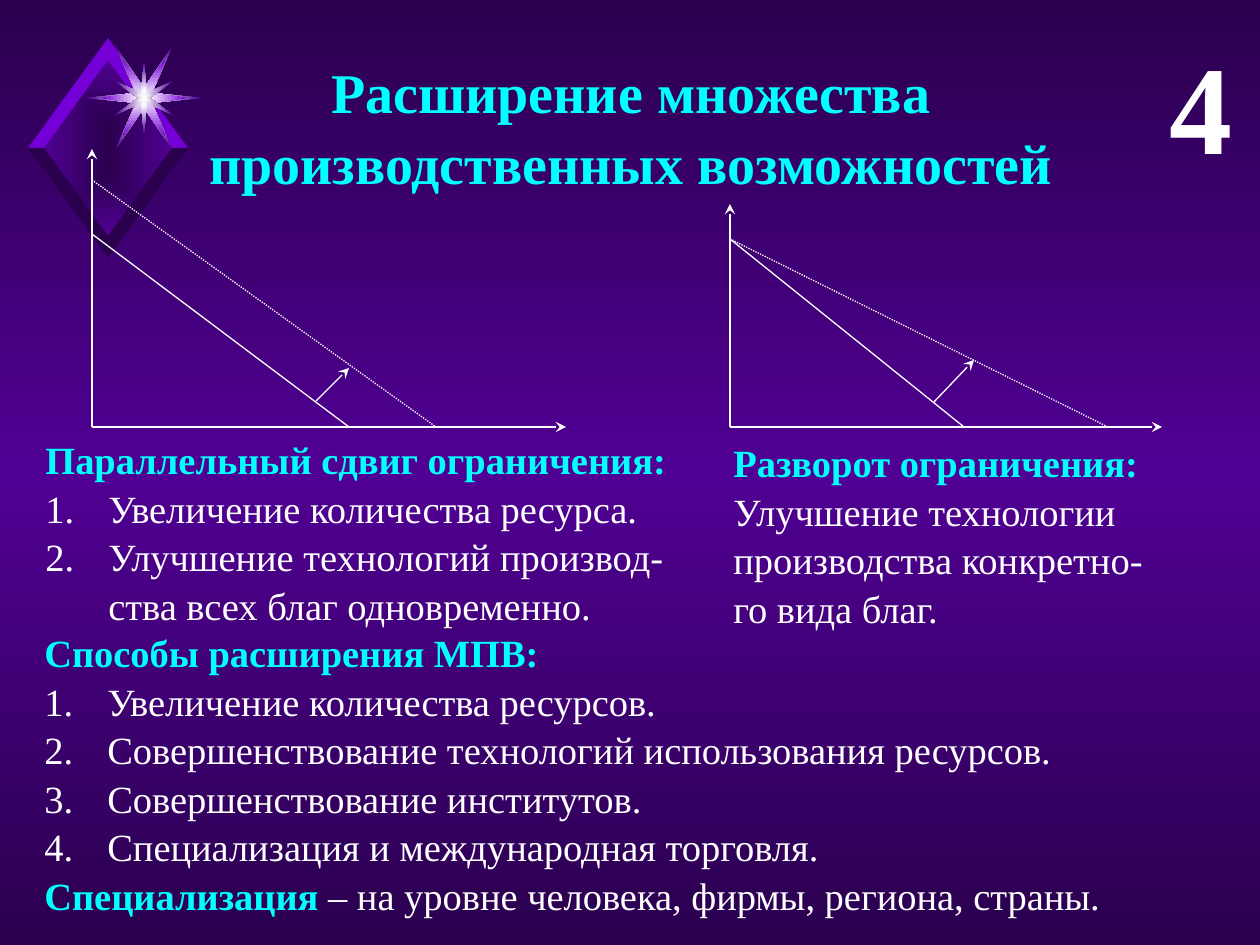
import pptx
import pptx.util
import pptx.dml.color
import pptx.enum.dml
import pptx.enum.shapes
import pptx.enum.text
import pptx.oxml.ns
from lxml import etree

RGBColor = pptx.dml.color.RGBColor
ALIGN = pptx.enum.text.PP_ALIGN
qn = pptx.oxml.ns.qn

SCALE = 914400 / 126  # EMU per px
FONT = "Times New Roman"
DARK = RGBColor(0x2A, 0x00, 0x4E)
PURPLE = RGBColor(0x50, 0x00, 0x93)
VIOLET = RGBColor(0x75, 0x00, 0xD7)
CYAN = RGBColor(0x00, 0xFF, 0xFF)
WHITE = RGBColor(0xFF, 0xFF, 0xFF)
PALE = RGBColor(0xF9, 0xF9, 0xF9)

# Content: each paragraph is a list of (words, is heading) runs
TITLE = [[("Расширение множества", True)], [("производственных возможностей", True)]]
TITLE_BOX = (25, 48, 1212, 149)
NUMBER = [[("4", False)]]
NUMBER_BOX = (1087, 15, 158, 165)
BODY = [
    {"box": (32, 621, 1200, 246), "numbered": True, "paragraphs": [
        [("Способы расширения МПВ:", True)],
        [("Увеличение количества ресурсов.", False)],
        [("Совершенствование технологий использования ресурсов.", False)],
        [("Совершенствование институтов.", False)],
        [("Специализация и международная торговля.", False)]]},
    {"box": (721, 431, 445, 246), "numbered": False, "paragraphs": [
        [("Разворот ограничения:", True)],
        [("Улучшение технологии производства конкретно-го вида благ.", False)]]},
    {"box": (33, 428, 650, 199), "numbered": True, "paragraphs": [
        [("Параллельный сдвиг ограничения:", True)],
        [("Увеличение количества ресурса.", False)],
        [("Улучшение технологий производ-ства всех благ одновременно.", False)]]},
    {"box": (32, 864, 1200, 59), "numbered": False, "paragraphs": [
        [("Специализация", True),
         (" – на уровне человека, фирмы, региона, страны.", False)]]},
]
# Frontiers are (height on the vertical axis, reach on the horizontal axis)
GRAPHS = [
    {"origin": (92, 427), "top": 149, "right": 566, "before": (234, 349),
     "after": (180, 436), "shift": ((316, 401), (349, 368))},
    {"origin": (730, 427), "top": 204, "right": 1162, "before": (239, 964),
     "after": (239, 1108), "shift": ((934, 402), (974, 360))},
]
# Half outline of each star around its centre, and centre and edge colours
STAR_CENTER = (144, 98)
STARS = [
    ([(-8, -5), (-28, -51), (0, -10), (28, -51), (8, -5), (57, 0)], WHITE, PURPLE),
    ([(-8, -5), (-21, -38), (0, -10), (21, -38), (8, -5), (42, 0)], WHITE, VIOLET),
    ([(-29, -17), (-3, -5), (0, -36), (3, -5), (29, -17), (6, 0)], WHITE, PURPLE),
    ([(-7, -4), (-1, -2), (0, -9), (1, -2), (7, -4), (2, 0)], PALE, PALE),
]
DIAMOND_CENTER = (108, 148)


def px(*lengths):
    return [pptx.util.Emu(round(length * SCALE)) for length in lengths]


def set_gradient(fill, owner, colors, from_center=False):
    fill.gradient()
    gradient = next(owner.iter(qn("a:gradFill")))
    for child in list(gradient):
        gradient.remove(child)
    stops = etree.SubElement(gradient, qn("a:gsLst"))
    for index, color in enumerate(colors):
        position = 100000 * index // (len(colors) - 1)
        stop = etree.SubElement(stops, qn("a:gs"), pos=str(position))
        etree.SubElement(stop, qn("a:srgbClr"), val=str(color))
    if from_center:
        route = etree.SubElement(gradient, qn("a:path"), path="rect")
        etree.SubElement(route, qn("a:fillToRect"),
                         {side: "50000" for side in "ltrb"})
    else:
        etree.SubElement(gradient, qn("a:lin"), ang="5400000", scaled="0")


def add_polygon(slide, center, offsets, inner, outer):
    points = [(center[0] + x, center[1] + y) for x, y in offsets]
    builder = slide.shapes.build_freeform(*points[0], scale=SCALE)
    builder.add_line_segments(points[1:], close=True)
    shape = builder.convert_to_shape()
    shape.shadow.inherit = False
    shape.line.fill.background()
    if inner == outer:
        shape.fill.solid()
        shape.fill.fore_color.rgb = inner
    else:
        set_gradient(shape.fill, shape._element, (inner, outer), from_center=True)


def add_line(slide, start, end, arrow=False, dotted=False):
    connector = slide.shapes.add_connector(
        pptx.enum.shapes.MSO_CONNECTOR.STRAIGHT, *px(*start, *end))
    connector.line.color.rgb = WHITE
    connector.line.width = pptx.util.Pt(0.75)
    if dotted:
        connector.line.dash_style = pptx.enum.dml.MSO_LINE.ROUND_DOT
    if arrow:
        etree.SubElement(connector.line._get_or_add_ln(), qn("a:tailEnd"), type="stealth")
    etree.SubElement(connector._element.spPr, qn("a:effectLst"))


def write_text(shape, paragraphs, size=22, align=ALIGN.LEFT, bold=False, numbered=False):
    frame = shape.text_frame
    frame.word_wrap = True
    frame.vertical_anchor = pptx.enum.text.MSO_ANCHOR.TOP
    frame.auto_size = pptx.enum.text.MSO_AUTO_SIZE.SHAPE_TO_FIT_TEXT
    for index, runs in enumerate(paragraphs):
        paragraph = frame.add_paragraph() if index else frame.paragraphs[0]
        paragraph.alignment = align
        paragraph.line_spacing = 1.05
        paragraph.space_before = pptx.util.Pt(0)
        if numbered and index:
            properties = paragraph._p.get_or_add_pPr()
            properties.set("marL", "457200")
            properties.set("indent", "-457200")
            etree.SubElement(properties, qn("a:buFont"), typeface=FONT)
            etree.SubElement(properties, qn("a:buAutoNum"), type="arabicPeriod")
        for words, heading in runs:
            run = paragraph.add_run()
            run.text = words
            run.font.name = FONT
            run.font.size = pptx.util.Pt(size)
            run.font.bold = bold or heading
            run.font.color.rgb = CYAN if heading else WHITE


def main():
    presentation = pptx.Presentation()
    presentation.slide_width, presentation.slide_height = px(1260, 945)
    slide = presentation.slides.add_slide(presentation.slide_layouts[5])
    set_gradient(slide.background.fill, slide._element, (DARK, PURPLE, DARK))

    # Diamond with a bevelled frame: upper facets light, lower facets dark
    add_polygon(slide, DIAMOND_CENTER, [(0, -89), (-65, 0), (0, 89), (65, 0)], DARK, PURPLE)
    for vertical, color in ((-1, VIOLET), (1, DARK)):
        for side in (-1, 1):
            facet = [(0, vertical * 88), (0, vertical * 110), (side * 80, 0), (side * 64, 0)]
            add_polygon(slide, DIAMOND_CENTER, facet, color, color)

    # Stars, symmetric about their centre
    for half, inner, outer in STARS:
        outline = half + [(-x, -y) for x, y in half]
        add_polygon(slide, STAR_CENTER, outline, inner, outer)

    # Title and number
    title = slide.shapes.title
    title.left, title.top, title.width, title.height = px(*TITLE_BOX)
    write_text(title, TITLE, size=32, align=ALIGN.CENTER)
    write_text(slide.shapes.add_textbox(*px(*NUMBER_BOX)), NUMBER,
               size=72, align=ALIGN.RIGHT, bold=True)

    # Graphs: axes, frontiers before and after, arrow of the shift
    for graph in GRAPHS:
        left, base = graph["origin"]
        add_line(slide, (left, base), (left, graph["top"]), arrow=True)
        add_line(slide, (left, base), (graph["right"], base), arrow=True)
        for name in ("before", "after"):
            height, reach = graph[name]
            add_line(slide, (left, height), (reach, base), dotted=name == "after")
        add_line(slide, *graph["shift"], arrow=True)

    # Body text
    for block in BODY:
        write_text(slide.shapes.add_textbox(*px(*block["box"])), block["paragraphs"],
                   numbered=block["numbered"])

    presentation.save("out.pptx")


if __name__ == "__main__":
    main()
